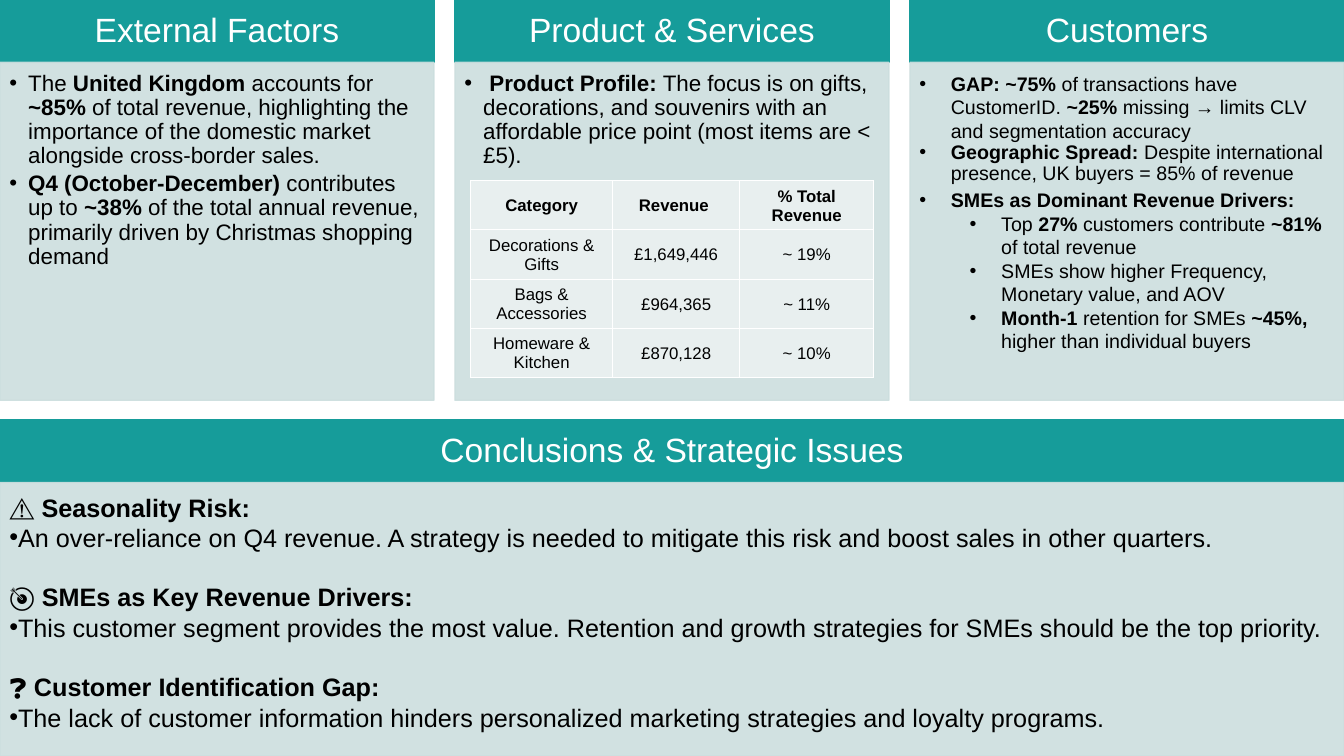
from dataclasses import dataclass

from lxml.etree import SubElement
from pptx import Presentation
from pptx.dml.color import RGBColor
from pptx.enum.shapes import MSO_SHAPE
from pptx.enum.text import MSO_ANCHOR, PP_ALIGN
from pptx.oxml.ns import qn
from pptx.util import Pt

TEAL = RGBColor(0x16, 0x9C, 0x9A)
PALE_TEAL = RGBColor(0xCC, 0xDE, 0xDE)
CELL_GREY = RGBColor(0xE8, 0xEF, 0xEF)
WHITE = RGBColor(0xFF, 0xFF, 0xFF)
BLACK = RGBColor(0x00, 0x00, 0x00)
FONT = "Arial"

SLIDE_WIDTH, SLIDE_HEIGHT = 960, 540
HEADING_HEIGHT = 44.6
COLUMN_WIDTH, COLUMN_PITCH, COLUMN_HEIGHT = 310, 325, 286
CONCLUSIONS_TOP = 300
HEADING_INSETS = (13.5, 8, 13.5, 8)
BODY_INSETS = (6.7, 6.7, 9, 10)
BOLD_MARK = "**"


@dataclass(frozen=True)
class Style:
    size: float
    color: RGBColor = BLACK
    align: PP_ALIGN = PP_ALIGN.LEFT
    line_spacing: float = 1.0
    before: float = 0
    after: float = 0
    level: int = 0
    margin: float = 0
    hanging: float = 0
    bullet: bool = False


@dataclass(frozen=True)
class Line:
    text: str
    style: Style


@dataclass(frozen=True)
class Panel:
    left: float
    top: float
    width: float
    height: float
    heading: str
    lines: list[Line]


HEADING = Style(24, WHITE, PP_ALIGN.CENTER, 0.9, after=8.4)
FACT = Style(16, line_spacing=0.9, after=2.8, level=1, margin=13.5, hanging=13.5, bullet=True)
CUSTOMER = Style(14, margin=22.5, hanging=22.5, bullet=True)
SPREAD = Style(14, line_spacing=0.9, after=2.4, level=1, margin=22.5, hanging=22.5, bullet=True)
DRIVER = Style(14, level=1, margin=58.5, hanging=22.5, bullet=True)
FIRST_ISSUE = Style(18)
ISSUE = Style(18, before=21)
ISSUE_DETAIL = Style(18, bullet=True)
CELL = Style(12, align=PP_ALIGN.CENTER)

COLUMNS = [
    ("External Factors", [
        Line("The **United Kingdom** accounts for **~85%** of total revenue, highlighting the "
             "importance of the domestic market alongside cross-border sales.", FACT),
        Line("**Q4 (October-December)** contributes up to **~38%** of the total annual revenue, "
             "primarily driven by Christmas shopping demand", FACT),
    ]),
    ("Product & Services", [
        Line(" **Product Profile:** The focus is on gifts, decorations, and souvenirs with an "
             "affordable price point (most items are < £5).", FACT),
    ]),
    ("Customers", [
        Line("**GAP: ~75%** of transactions have CustomerID. **~25%** missing → limits CLV "
             "and segmentation accuracy", CUSTOMER),
        Line("**Geographic Spread:** Despite international presence, UK buyers = 85% of revenue", SPREAD),
        Line("**SMEs as Dominant Revenue Drivers:**", CUSTOMER),
        Line("Top **27% **customers contribute **~81% **of total revenue", DRIVER),
        Line("SMEs show higher Frequency, Monetary value, and AOV", DRIVER),
        Line("**Month-1** retention for SMEs **~45%, **higher than individual buyers", DRIVER),
    ]),
]

CONCLUSIONS = [
    Line("**⚠️ Seasonality Risk:**", FIRST_ISSUE),
    Line("An over-reliance on Q4 revenue. A strategy is needed to mitigate this risk and boost "
         "sales in other quarters.", ISSUE_DETAIL),
    Line("**🎯 SMEs as Key Revenue Drivers:**", ISSUE),
    Line("This customer segment provides the most value. Retention and growth strategies for SMEs "
         "should be the top priority.", ISSUE_DETAIL),
    Line("**❓ Customer Identification Gap:**", ISSUE),
    Line("The lack of customer information hinders personalized marketing strategies and loyalty "
         "programs.", ISSUE_DETAIL),
]

REVENUE_ROWS = [
    ("**Category**", "**Revenue **", "**% Total Revenue**"),
    ("Decorations & Gifts", "£1,649,446", "~ 19%"),
    ("Bags & Accessories", "£964,365", "~ 11%"),
    ("Homeware & Kitchen", "£870,128", "~ 10%"),
]
REVENUE_LEFT, REVENUE_TOP = 336.2, 129
REVENUE_WIDTHS = (101.5, 90.7, 95.8)
REVENUE_ROW_HEIGHT = 35.2


def write_line(paragraph, line: Line) -> None:
    style = line.style
    paragraph.alignment = style.align
    paragraph.line_spacing = style.line_spacing
    paragraph.space_before = Pt(style.before)
    paragraph.space_after = Pt(style.after)
    paragraph.level = style.level
    properties = paragraph._p.get_or_add_pPr()
    properties.set("marL", str(Pt(style.margin)))
    properties.set("indent", str(-Pt(style.hanging)))
    if style.bullet:
        SubElement(properties, qn("a:buFont")).set("typeface", FONT)
        SubElement(properties, qn("a:buChar")).set("char", "•")
    else:
        SubElement(properties, qn("a:buNone"))
    for index, text in enumerate(line.text.split(BOLD_MARK)):
        if text:
            run = paragraph.add_run()
            run.text = text
            run.font.name = FONT
            run.font.size = Pt(style.size)
            run.font.bold = index % 2 == 1
            run.font.color.rgb = style.color


def add_box(slide, left: float, top: float, width: float, height: float, color: RGBColor,
            insets: tuple, anchor: MSO_ANCHOR, lines: list[Line], opacity: int = 100) -> None:
    shape = slide.shapes.add_shape(MSO_SHAPE.RECTANGLE, Pt(left), Pt(top), Pt(width), Pt(height))
    shape.shadow.inherit = False
    shape.line.width = Pt(1)
    for fill in (shape.fill, shape.line.fill):
        fill.solid()
        fill.fore_color.rgb = color
    if opacity < 100:
        for color_element in shape._element.spPr.iter(qn("a:srgbClr")):
            SubElement(color_element, qn("a:alpha")).set("val", str(opacity * 1000))
    frame = shape.text_frame
    frame.word_wrap = True
    frame.vertical_anchor = anchor
    (frame.margin_left, frame.margin_top,
     frame.margin_right, frame.margin_bottom) = map(Pt, insets)
    for index, line in enumerate(lines):
        write_line(frame.add_paragraph() if index else frame.paragraphs[0], line)


def add_panel(slide, panel: Panel) -> None:
    add_box(slide, panel.left, panel.top, panel.width, HEADING_HEIGHT, TEAL, HEADING_INSETS,
            MSO_ANCHOR.MIDDLE, [Line(panel.heading, HEADING)])
    add_box(slide, panel.left, panel.top + HEADING_HEIGHT, panel.width,
            panel.height - HEADING_HEIGHT, PALE_TEAL, BODY_INSETS, MSO_ANCHOR.TOP,
            panel.lines, opacity=90)


def add_borders(cell) -> None:
    properties = cell._tc.get_or_add_tcPr()
    for index, side in enumerate(("a:lnL", "a:lnR", "a:lnT", "a:lnB")):
        border = SubElement(properties, qn(side), w=str(Pt(1)))
        fill = SubElement(border, qn("a:solidFill"))
        SubElement(fill, qn("a:srgbClr")).set("val", str(WHITE))
        properties.insert(index, border)


def add_revenue_table(slide) -> None:
    table = slide.shapes.add_table(
        len(REVENUE_ROWS), len(REVENUE_WIDTHS), Pt(REVENUE_LEFT), Pt(REVENUE_TOP),
        Pt(sum(REVENUE_WIDTHS)), Pt(REVENUE_ROW_HEIGHT * len(REVENUE_ROWS))).table
    table.first_row = table.horz_banding = False
    for column, width in zip(table.columns, REVENUE_WIDTHS):
        column.width = Pt(width)
    for row, texts in zip(table.rows, REVENUE_ROWS):
        row.height = Pt(REVENUE_ROW_HEIGHT)
        for cell, text in zip(row.cells, texts):
            cell.fill.solid()
            cell.fill.fore_color.rgb = CELL_GREY
            cell.vertical_anchor = MSO_ANCHOR.MIDDLE
            cell.margin_left = cell.margin_right = cell.margin_top = Pt(0.7)
            cell.margin_bottom = Pt(0)
            write_line(cell.text_frame.paragraphs[0], Line(text, CELL))
            add_borders(cell)


def main() -> None:
    presentation = Presentation()
    presentation.slide_width, presentation.slide_height = Pt(SLIDE_WIDTH), Pt(SLIDE_HEIGHT)
    slide = presentation.slides.add_slide(presentation.slide_layouts.get_by_name("Blank"))
    for index, (heading, lines) in enumerate(COLUMNS):
        add_panel(slide, Panel(index * COLUMN_PITCH, 0, COLUMN_WIDTH, COLUMN_HEIGHT, heading, lines))
    add_revenue_table(slide)
    add_panel(slide, Panel(0, CONCLUSIONS_TOP, SLIDE_WIDTH, SLIDE_HEIGHT - CONCLUSIONS_TOP,
                           "Conclusions & Strategic Issues", CONCLUSIONS))
    presentation.save("out.pptx")


if __name__ == "__main__":
    main()
